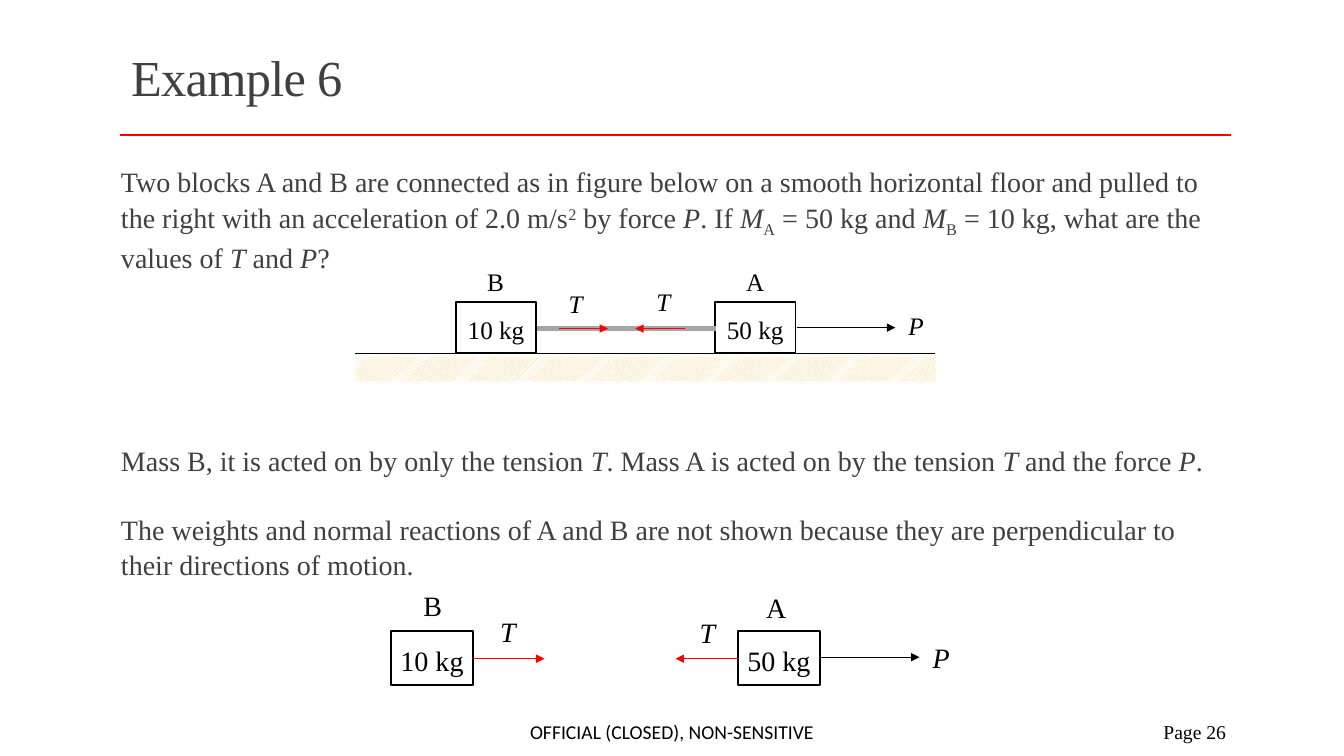
from lxml import etree
from pptx import Presentation
from pptx import util as u
from pptx.dml.color import RGBColor
from pptx.enum import dml, shapes, text
from pptx.oxml import ns

CELL = u.Inches(0.1)  # slide grid: 133.3 columns by 75 rows
SERIF = "Times New Roman"
BLACK, GREY, RED, WHITE = "000000", "404040", "FF0000", "FFFFFF"
TIGHT, SNUG, BLOCK = (.2, .1, .2, .1), (.4, .4, .4, .4), (.4, 1.2, .4, .5)
BASELINE = {"sup": "30000", "sub": "-25000"}


def rgb(value):
    return RGBColor.from_string(value)


def grid(*cells):
    return [round(c * CELL) for c in cells]


def sub(parent, tag, **attrs):
    return etree.SubElement(parent, ns.qn(tag), attrs)


def style(font, size, color=BLACK, name=SERIF, italic=None):
    font.size, font.name, font.italic = u.Pt(size), name, italic
    font.color.rgb = rgb(color)


def write(sp, words, size, italic=None, inset=(1, .5, 1, .5), align=None,
          anchor=text.MSO_ANCHOR.TOP, name=SERIF, wrap=True):
    tf = sp.text_frame
    tf.text, tf.word_wrap, tf.vertical_anchor = words, wrap, anchor
    (tf.margin_left, tf.margin_top,
     tf.margin_right, tf.margin_bottom) = grid(*inset)
    p = tf.paragraphs[0]
    p.alignment = align
    style(p.runs[0].font, size, name=name, italic=italic)


def label(parent, box, words, size, **options):
    write(parent.add_textbox(*grid(*box)), words, size, **options)


def line(parent, x1, y1, x2, y2, color=BLACK, width=.75, arrow=False):
    c = parent.add_connector(shapes.MSO_CONNECTOR.STRAIGHT, *grid(x1, y1, x2, y2))
    c.line.color.rgb, c.line.width = rgb(color), u.Pt(width)
    if arrow:
        sub(c.line._get_or_add_ln(), "a:tailEnd", type="triangle")
    sub(c._element.spPr, "a:effectLst")


def rect(parent, box):
    sp = parent.add_shape(shapes.MSO_SHAPE.RECTANGLE, *grid(*box))
    sp.shadow.inherit = False
    return sp


def block(parent, box, mass, size):
    sp = rect(parent, box)
    sp.fill.solid()
    sp.fill.fore_color.rgb = rgb(WHITE)
    sp.line.color.rgb, sp.line.width = rgb(BLACK), u.Pt(1.25)
    write(sp, mass, size, inset=BLOCK, align=text.PP_ALIGN.CENTER)


def header(s, box, words):
    x, y, w, h = box
    title = s.shapes.title
    title.left, title.top, title.width, title.height = grid(*box)
    write(title, words, 36, anchor=text.MSO_ANCHOR.MIDDLE, align=text.PP_ALIGN.LEFT)
    p = title.text_frame.paragraphs[0]
    p.line_spacing = .85
    style(p.runs[0].font, 36, GREY)
    p.runs[0]._r.get_or_add_rPr().set("spc", "-50")
    line(s.shapes, x - .1, y + 10.3, x + w + .1, y + 10.3, RED, 2)


def body(s, box, paragraphs):
    """Each paragraph is (points before, [(words, style), ...])."""
    sp = s.placeholders[1]
    sp.left, sp.top, sp.width, sp.height = grid(*box)
    tf = sp.text_frame
    tf.auto_size, tf.word_wrap = text.MSO_AUTO_SIZE.NONE, True
    tf.margin_left, tf.margin_top, tf.margin_right, tf.margin_bottom = grid(0, .5, 0, .5)
    for i, (before, runs) in enumerate(paragraphs):
        p = tf.add_paragraph() if i else tf.paragraphs[0]
        pPr = p._p.get_or_add_pPr()
        pPr.set("marL", "0")
        pPr.set("indent", "0")
        sub(pPr, "a:buNone")
        p.space_before, p.space_after, p.line_spacing = u.Pt(before), u.Pt(6), 1.05
        for words, kind in runs:
            r = p.add_run()
            r.text = words
            style(r.font, 20, GREY, italic=kind == "i")
            if kind in BASELINE:
                r._r.get_or_add_rPr().set("baseline", BASELINE[kind])


def pulled_blocks(s, x, y):
    g = s.shapes.add_group_shape().shapes
    line(g, x, y + 9.1, x + 57.5, y + 9.1)
    for left, name, mass in ((10, "B", "10 kg"), (35.7, "A", "50 kg")):
        block(g, (x + left, y + 4, 8, 5), mass, 18)
        label(g, (x + left + 2.7, y, 4.5, 3.5), name, 18, inset=SNUG)
    rope = y + 6.6
    line(g, x + 18.1, rope, x + 35.8, rope, "A6A6A6", 3)
    line(g, x + 43.8, rope - .1, x + 53.6, rope - .1, width=1.25, arrow=True)
    floor = rect(g, (x + .1, y + 9.4, 57.5, 2.4))
    floor.fill.patterned()
    floor.fill.pattern = dml.MSO_PATTERN.LIGHT_UPWARD_DIAGONAL
    floor.fill.fore_color.rgb, floor.fill.back_color.rgb = rgb("FFCC66"), rgb(WHITE)
    floor.line.fill.background()
    for start, end in ((20.2, 25.1), (32.7, 27.8)):
        line(g, x + start, rope, x + end, rope, RED, arrow=True)
    for left, top, name in ((21, 2.5, "T"), (29.7, 2.3, "T"), (54.7, 4.7, "P")):
        label(g, (x + left, y + top, 4.9, 3.8), name, 18, italic=True, inset=TIGHT)


def free_bodies(s, x, y):
    g = s.shapes.add_group_shape().shapes
    for left, shift, top, name, mass in ((0, 2.8, 0, "B", "10 kg"),
                                         (34.4, 2.4, .2, "A", "50 kg")):
        block(g, (x + left, y + 4.6, 8.1, 5.4), mass, 20)
        label(g, (x + left + shift, y + top, 4.6, 3.8), name, 20, inset=SNUG)
    for start, end, row, color in ((8.1, 15.2, 7.35, RED), (34.4, 28.2, 7.35, RED),
                                   (42.6, 52.4, 7.2, BLACK)):
        line(g, x + start, y + row, x + end, y + row, color, arrow=True)
    for left, top, name in ((10.6, 2.9, "T"), (30.4, 3, "T"), (53.5, 5.4, "P")):
        label(g, (x + left, y + top, 4.4, 4.1), name, 20, italic=True, inset=TIGHT)


def footer(s, y, h):
    for x, w, words, name, align in (
            (108.3, 14.3, "Page 26", SERIF, text.PP_ALIGN.RIGHT),
            (40.3, 52.7, "OFFICIAL (CLOSED), NON-SENSITIVE", "Calibri",
             text.PP_ALIGN.CENTER)):
        label(s.shapes, (x, y, w, h), words, 14, name=name, align=align,
              anchor=text.MSO_ANCHOR.MIDDLE)


def main():
    prs = Presentation()
    prs.slide_width, prs.slide_height = u.Inches(13.33), u.Inches(7.5)
    s = prs.slides.add_slide(prs.slide_layouts[1])
    header(s, (12, 3.1, 110, 9.8), "Example 6")
    body(s, (12, 15.7, 110.2, 51.2), [
        (0, [("Two blocks A and B are connected as in figure below on a smooth "
              "horizontal floor and pulled to the right with an acceleration of "
              "2.0 m/s", ""), ("2", "sup"), (" by force ", ""), ("P", "i"),
             (". If ", ""), ("M", "i"), ("A", "sub"), (" = 50 kg and ", ""),
             ("M", "i"), ("B", "sub"), (" = 10 kg, what are the values of ", ""),
             ("T", "i"), (" and ", ""), ("P", "i"), ("?", "")]),
        (114, [("Mass B, it is acted on by only the tension ", ""), ("T", "i"),
               (". Mass A is acted on by the tension ", ""), ("T", "i"),
               (" and the force ", ""), ("P", "i"), (".", "")]),
        (18, [("The weights and normal reactions of A and B are not shown because "
               "they are perpendicular to their directions of motion.", "")]),
    ])
    pulled_blocks(s, 35.2, 26)
    free_bodies(s, 38.8, 58)
    footer(s, 70.6, 4)
    prs.save("out.pptx")


if __name__ == "__main__":
    main()
